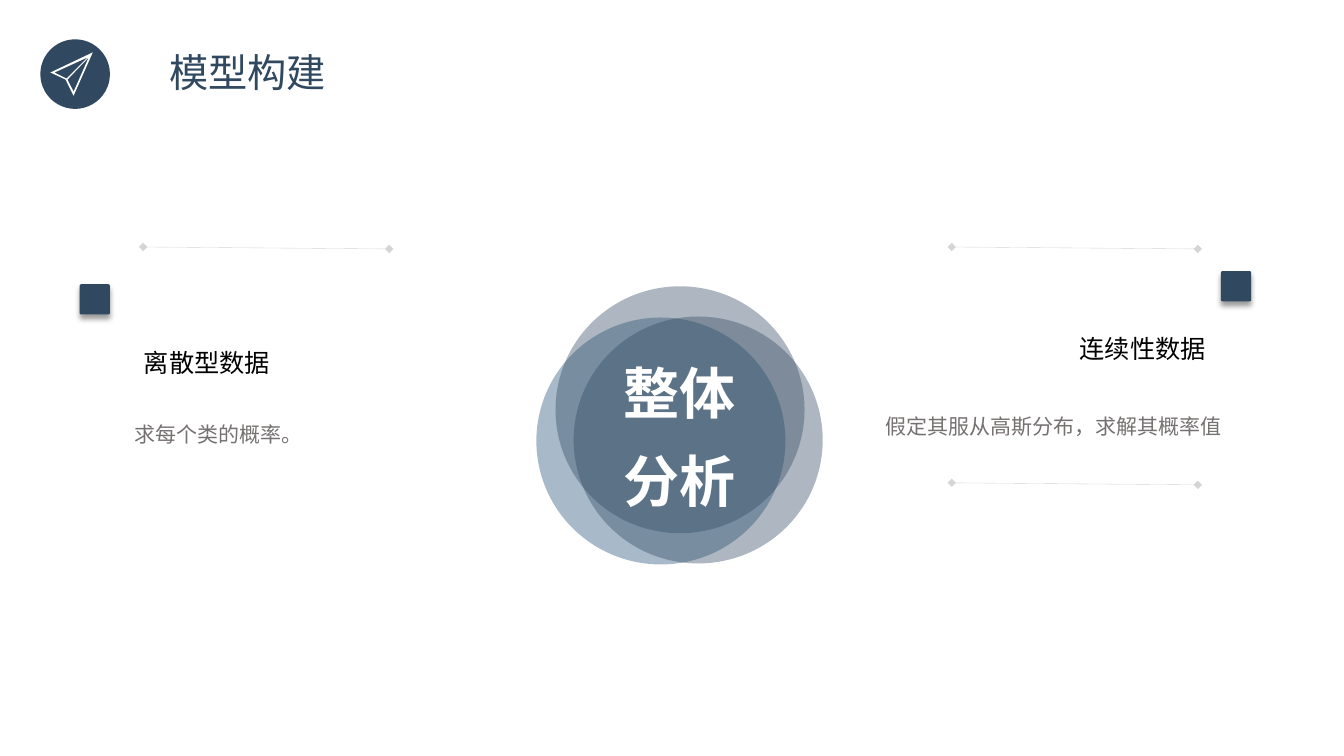
from dataclasses import dataclass

from lxml import etree
from pptx import Presentation
from pptx.dml.color import RGBColor
from pptx.enum.shapes import MSO_CONNECTOR, MSO_SHAPE
from pptx.enum.text import MSO_AUTO_SIZE, PP_ALIGN
from pptx.oxml.ns import qn
from pptx.util import Inches, Pt

OVAL = MSO_SHAPE.OVAL
ROUNDED = MSO_SHAPE.ROUNDED_RECTANGLE
STRAIGHT = MSO_CONNECTOR.STRAIGHT
GROW = MSO_AUTO_SIZE.SHAPE_TO_FIT_TEXT
LEFT, CENTER = PP_ALIGN.LEFT, PP_ALIGN.CENTER


@dataclass(frozen=True)
class Theme:
    font: str = "Noto Sans CJK SC"
    navy: str = "304860"
    blue: str = "1F4E78"
    white: str = "FFFFFF"
    black: str = "000000"
    gray: str = "767171"
    rule: str = "808080"
    title_size: int = 28
    center_size: int = 40
    heading_size: int = 18
    body_size: int = 15


theme = Theme()

deck = Presentation()
deck.slide_width = Inches(13.33)
deck.slide_height = Inches(7.5)
page = deck.slides.add_slide(deck.slide_layouts[6])


def paint(shape, color):
    shape.shadow.inherit = False
    shape.fill.solid()
    shape.fill.fore_color.rgb = RGBColor.from_string(color)
    shape.line.fill.background()


def add_text(text, place, size, color, align=LEFT, spacing=1.3, inset=(0.1, 0.05), wrap=True, bold=False):
    box = page.shapes.add_textbox(*map(Inches, place))
    frame = box.text_frame
    frame.word_wrap = wrap
    frame.auto_size = GROW
    frame.margin_left = frame.margin_right = Inches(inset[0])
    frame.margin_top = frame.margin_bottom = Inches(inset[1])
    frame.text = text
    para = frame.paragraphs[0]
    para.alignment = align
    para.line_spacing = spacing
    span = para.runs[0]
    span.font.name = theme.font
    span.font.size = Pt(size)
    span.font.bold = bold
    span.font.color.rgb = RGBColor.from_string(color)
    etree.SubElement(span.font._element, qn("a:ea"), typeface=theme.font)


add_text("模型构建", (1.18, 0.48, 2.55, 0.47), theme.title_size, theme.navy, CENTER, 1.0, (0, 0))

badge = page.shapes.add_shape(OVAL, Inches(0.4), Inches(0.39), Inches(0.69), Inches(0.69))
paint(badge, theme.navy)

plane_outline = [(65, 79), (73, 95), (92, 52), (50, 72)]
plane_holes = [
    [(66, 78), (54, 72), (87, 57)],
    [(73, 91), (67, 79), (88, 57)],
]
builder = page.shapes.build_freeform(*plane_outline[0], scale=Inches(1) / 100)
builder.add_line_segments(plane_outline[1:])
for hole in plane_holes:
    builder.move_to(*hole[0])
    builder.add_line_segments(hole[1:])
paint(builder.convert_to_shape(), theme.white)

for left, top, color in [
    (5.32, 3.15, theme.blue),
    (5.51, 2.84, theme.navy),
    (5.69, 3.14, theme.navy),
]:
    circle = page.shapes.add_shape(OVAL, Inches(left), Inches(top), Inches(2.47), Inches(2.45))
    paint(circle, color)
    tint = circle.fill._xPr.find(qn("a:solidFill"))[0]
    etree.SubElement(tint, qn("a:alpha"), val="39000")

add_text("整体分析", (5.9, 3.31, 1.67, 1.85), theme.center_size, theme.white, CENTER, bold=True)

for marker_at, heading, heading_at, body, body_at in [
    ((0.79, 2.82), "离散型数据", (1.33, 3.31), "求每个类的概率。", (1.24, 4.06)),
    ((12.11, 2.69), "连续性数据", (10.61, 3.17), "假定其服从高斯分布，求解其概率值", (8.68, 3.98)),
]:
    marker = page.shapes.add_shape(ROUNDED, *map(Inches, marker_at), Inches(0.3), Inches(0.3))
    marker.adjustments[0] = 0.05
    paint(marker, theme.navy)
    effects = marker._element.spPr.find(qn("a:effectLst"))
    shadow = etree.SubElement(
        effects, qn("a:outerShdw"), blurRad=str(Pt(4)), dist=str(Pt(3)), dir="5400000", rotWithShape="0"
    )
    shade = etree.SubElement(shadow, qn("a:srgbClr"), val=theme.black)
    etree.SubElement(shade, qn("a:alpha"), val="40000")
    add_text(heading, (*heading_at, 1.54, 0.46), theme.heading_size, theme.black, wrap=False)
    add_text(body, (*body_at, 3.86, 0.4), theme.body_size, theme.gray)

for left, top in [(1.42, 2.45), (9.44, 2.45), (9.44, 4.79)]:
    rule = page.shapes.add_connector(
        STRAIGHT, Inches(left), Inches(top), Inches(left + 2.44), Inches(top + 0.02)
    )
    rule.line.width = Pt(0.25)
    rule.line.color.rgb = RGBColor.from_string(theme.rule)
    stroke = rule.line._get_or_add_ln()
    tint = stroke.find(qn("a:solidFill"))[0]
    etree.SubElement(tint, qn("a:alpha"), val="33000")
    for end in ("a:headEnd", "a:tailEnd"):
        etree.SubElement(stroke, qn(end), type="diamond")
    etree.SubElement(rule._element.spPr, qn("a:effectLst"))

deck.save("out.pptx")
